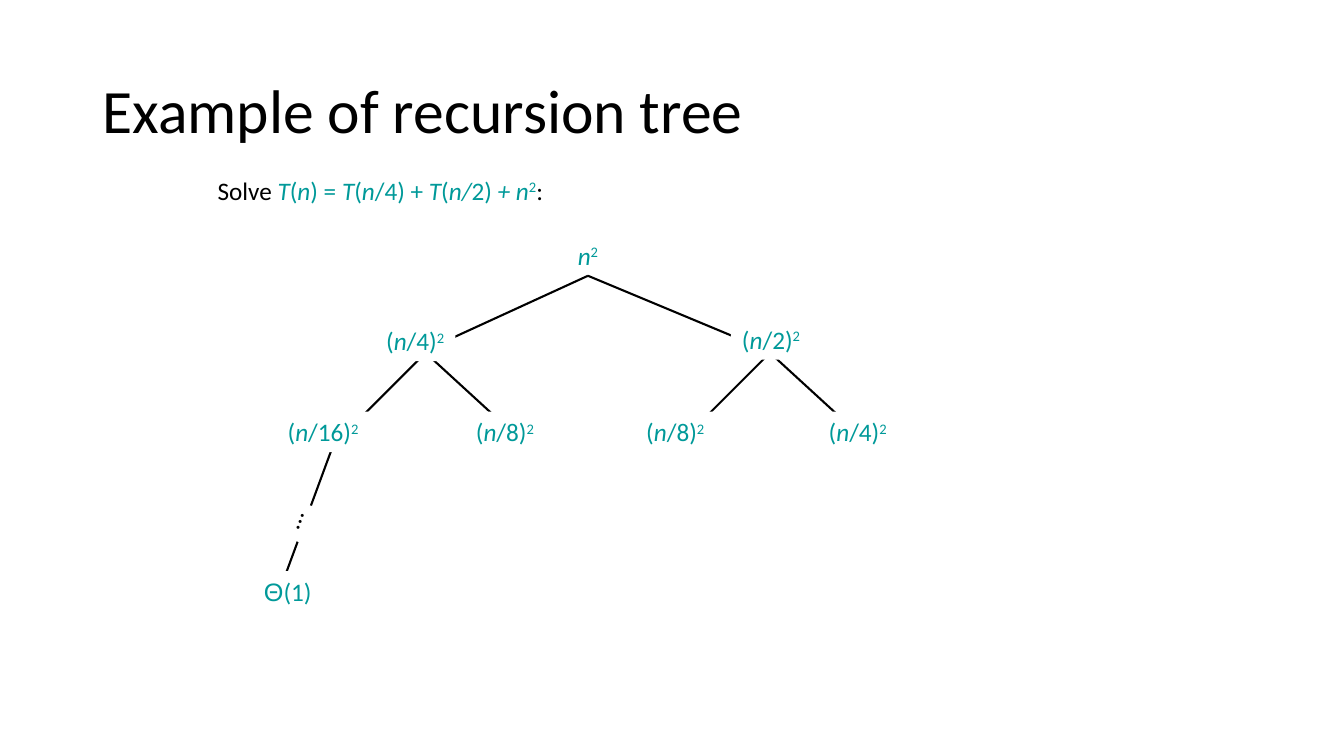
import pptx
import pptx.dml.color
import pptx.enum.shapes
import pptx.enum.text
import pptx.oxml.ns
import pptx.util
import lxml.etree

Pt = pptx.util.Pt
BLACK, TEAL, WHITE = "000000", "009999", "FFFFFF"
ITALIC, SUPER, PLAIN = "italic", "super", "plain"


def color(hex_string):
    return pptx.dml.color.RGBColor.from_string(hex_string)


def write_formula(shape, spans, text_color):
    """Fill a non-wrapping shape with (text, style) spans at 18 pt."""
    frame = shape.text_frame
    frame.word_wrap = False
    frame.auto_size = pptx.enum.text.MSO_AUTO_SIZE.SHAPE_TO_FIT_TEXT
    frame.vertical_anchor = pptx.enum.text.MSO_ANCHOR.TOP
    para = frame.paragraphs[0]
    para.font.size = Pt(18)
    para.font.name = "Calibri"
    para.font.color.rgb = color(text_color)
    for text, style in spans:
        span = para.add_run()
        span.text = text
        span.font.size = Pt(18)
        span.font.name = "Arial" if text == "Θ" else "Calibri"
        span.font.color.rgb = color(BLACK if style == BLACK else text_color)
        span.font.italic = style == ITALIC
        if style == SUPER:
            span.font._element.set("baseline", "30000")
    return para


deck = pptx.Presentation()
deck.slide_width, deck.slide_height = Pt(960), Pt(540)
page = deck.slides.add_slide(deck.slide_layouts[5])

title = page.shapes.title
title.left, title.top, title.width, title.height = Pt(66), Pt(29), Pt(828), Pt(104)
title.text_frame.text = "Example of recursion tree"
title.text_frame.vertical_anchor = pptx.enum.text.MSO_ANCHOR.MIDDLE
title_para = title.text_frame.paragraphs[0]
title_para.alignment = pptx.enum.text.PP_ALIGN.LEFT
title_para.line_spacing = 0.9
title_para.font.size = Pt(44)
title_para.font.name = "Calibri"
title_para.font.color.rgb = color(BLACK)

recurrence = page.shapes.add_textbox(Pt(148.3), Pt(121.7), Pt(251.3), Pt(29))
write_formula(recurrence, [
    ("Solve ", BLACK), ("T", ITALIC), ("(", PLAIN), ("n", ITALIC), (") = ", PLAIN),
    ("T", ITALIC), ("(", PLAIN), ("n", ITALIC), ("/4) + ", PLAIN),
    ("T", ITALIC), ("(", PLAIN), ("n/", ITALIC), ("2)", PLAIN),
    (" + n", ITALIC), ("2", SUPER), (":", BLACK),
], TEAL)

# The root stands first, so that its two edges can be joined to it;
# the other nodes come last and cover the ends of the edges.
root_spans = [("n", ITALIC), ("2", SUPER)]
nodes = [(420, 168, 30, root_spans, TEAL, 0)]
for center, top, width, divisor in [
    (230.8, 294, 67, 16), (360.7, 294, 57.6, 8), (482.4, 294, 57.6, 8),
    (612.7, 294, 57.6, 4), (296.6, 229, 57.6, 4), (550.8, 228, 57.6, 2),
]:
    spans = [("(", PLAIN), ("n", ITALIC), (f"/{divisor})", PLAIN), ("2", SUPER)]
    nodes.append((center, top, width, spans, TEAL, 0))
nodes.append((205.6, 408, 48.2, [("Θ", PLAIN), ("(1)", PLAIN)], TEAL, 0))
nodes.append((208.8, 356.5, 27.4, [("…", PLAIN)], BLACK, 289.4))

left_child, right_child, first_leaf = (304, 252), (550, 252), (238, 318)
edges = [((420, 197), (300, 252)), ((420, 197), (552, 252)), (first_leaf, (196, 432))]
for x, y in (left_child, right_child):
    edges += [((x, y), (x - 66, y + 66)), ((x, y), (x + 72, y + 66))]

for index, (center, top, width, spans, text_color, rotation) in enumerate(nodes):
    box = page.shapes.add_shape(
        pptx.enum.shapes.MSO_SHAPE.RECTANGLE,
        Pt(center - width / 2), Pt(top), Pt(width), Pt(29))
    box.shadow.inherit = False
    box.fill.solid()
    box.fill.fore_color.rgb = color(WHITE)
    box.line.fill.background()
    box.rotation = rotation
    para = write_formula(box, spans, text_color)
    para.alignment = pptx.enum.text.PP_ALIGN.CENTER
    if index > 0:
        continue
    for start, end in edges:
        edge = page.shapes.add_connector(
            pptx.enum.shapes.MSO_CONNECTOR.STRAIGHT, *map(Pt, start + end))
        edge.line.color.rgb = color(BLACK)
        edge.line.width = Pt(1.5)
        lxml.etree.SubElement(edge._element.spPr, pptx.oxml.ns.qn("a:effectLst"))
        if start == (420, 197):
            edge.begin_connect(box, 2)

deck.save("out.pptx")
